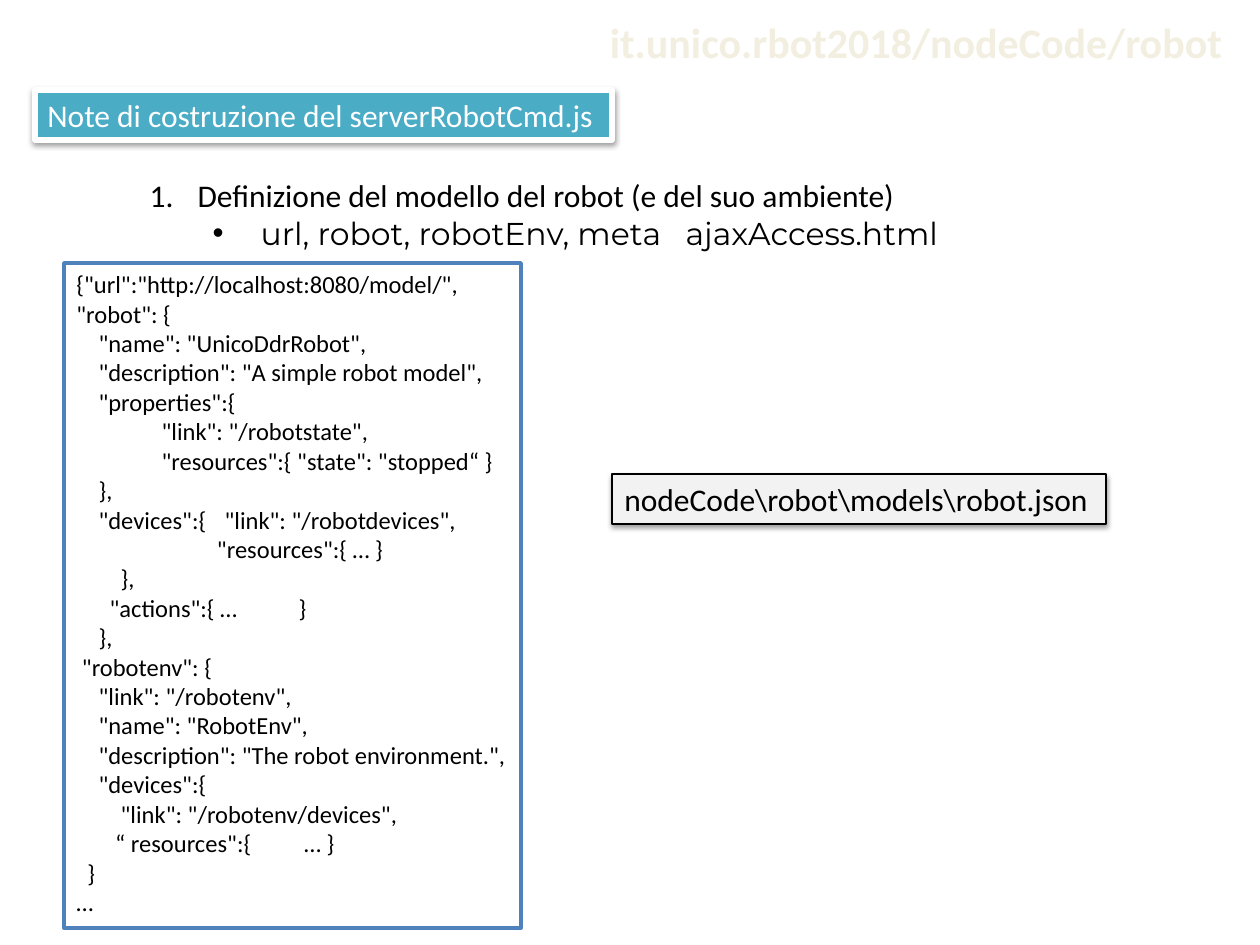
from dataclasses import dataclass
from typing import Optional

import pptx
import pptx.dml.color
import pptx.enum.shapes
import pptx.enum.text
import pptx.oxml
import pptx.oxml.ns
import pptx.util

PX = 914400 / 126
SPACE_PX = 5.54
LEVEL_PX = 63
LEFT = pptx.enum.text.PP_ALIGN.LEFT
RIGHT = pptx.enum.text.PP_ALIGN.RIGHT
TOP = pptx.enum.text.MSO_ANCHOR.TOP
MIDDLE = pptx.enum.text.MSO_ANCHOR.MIDDLE


@dataclass(frozen=True)
class Theme:
    white: str = "FFFFFF"
    black: str = "000000"
    cream: str = "F2EFE1"
    teal: str = "4BACC6"
    blue: str = "4F81BD"
    grey: str = "F2F2F2"
    font: str = "Calibri"
    accent_font: str = "Montserrat"
    title_size: int = 24
    text_size: int = 18
    code_size: int = 14


THEME = Theme()


@dataclass(frozen=True)
class Area:
    left: int
    top: int
    width: int
    height: int


@dataclass(frozen=True)
class Style:
    size: int
    color: str = THEME.black
    font: str = THEME.font
    bold: bool = False


@dataclass(frozen=True)
class Line:
    text: str
    margin: float = 0
    hanging: float = 0
    level: int = 0
    bullet: str = ""
    tab: Optional[int] = None
    style: Optional[Style] = None


@dataclass(frozen=True)
class Box:
    area: Area
    fill: str
    outline: str
    outline_width: float
    style: Style
    lines: list[Line]
    wrap: bool = False
    shadow: bool = False


def px(value: float) -> int:
    return round(value * PX)


def code(spaces: int, text: str, level: int = 0, tab: Optional[int] = None) -> Line:
    return Line(text, level * LEVEL_PX + spaces * SPACE_PX, level=level, tab=tab)


def xml(tag: str, attributes: str, content: str = ""):
    namespace = pptx.oxml.ns.nsdecls("a")
    return pptx.oxml.parse_xml(f"<a:{tag} {namespace} {attributes}>{content}</a:{tag}>")


def place(shape, area: Area) -> None:
    shape.left, shape.top = px(area.left), px(area.top)
    shape.width, shape.height = px(area.width), px(area.height)


def write(shape, lines: list[Line], style: Style, align=LEFT, anchor=TOP, wrap: bool = True) -> None:
    frame = shape.text_frame
    frame.word_wrap = wrap
    frame.auto_size = pptx.enum.text.MSO_AUTO_SIZE.SHAPE_TO_FIT_TEXT
    frame.vertical_anchor = anchor
    for index, line in enumerate(lines):
        paragraph = frame.add_paragraph() if index else frame.paragraphs[0]
        paragraph.alignment = align
        paragraph.level = line.level
        paragraph.space_before = pptx.util.Pt(0)
        properties = paragraph._p.get_or_add_pPr()
        properties.set("marL", str(px(line.margin)))
        properties.set("indent", str(-px(line.hanging)))
        if line.bullet == "1.":
            properties.append(xml("buAutoNum", 'type="arabicPeriod"'))
        elif line.bullet:
            properties.append(xml("buFont", 'typeface="Arial"'))
            properties.append(xml("buChar", f'char="{line.bullet}"'))
        else:
            properties.append(xml("buNone", ""))
        if line.tab:
            properties.append(xml("tabLst", "", f'<a:tab pos="{px(line.tab)}" algn="l"/>'))
        run = paragraph.add_run()
        run.text = line.text
        look = line.style or style
        run.font.name = look.font
        run.font.size = pptx.util.Pt(look.size)
        run.font.bold = look.bold
        run.font.color.rgb = pptx.dml.color.RGBColor.from_string(look.color)


def draw_box(slide, box: Box) -> None:
    shape = slide.shapes.add_shape(pptx.enum.shapes.MSO_SHAPE.RECTANGLE, 0, 0, 0, 0)
    place(shape, box.area)
    shape.fill.solid()
    shape.fill.fore_color.rgb = pptx.dml.color.RGBColor.from_string(box.fill)
    shape.line.color.rgb = pptx.dml.color.RGBColor.from_string(box.outline)
    shape.line.width = pptx.util.Pt(box.outline_width)
    shape.shadow.inherit = False
    if box.shadow:
        effects = shape._element.spPr.find(pptx.oxml.ns.qn("a:effectLst"))
        color = f'<a:srgbClr val="{THEME.black}"><a:alpha val="38000"/></a:srgbClr>'
        settings = 'blurRad="40000" dist="20000" dir="5400000" rotWithShape="0"'
        effects.append(xml("outerShdw", settings, color))
    write(shape, box.lines, box.style, wrap=box.wrap)


TEXT = Style(THEME.text_size)
TOPICS = [
    Line("Definizione del modello del robot (e del suo ambiente)", 48, 48, bullet="1."),
    Line("url, robot, robotEnv, meta\tajaxAccess.html", 111, 48, 1, "•", 536,
         Style(THEME.text_size, font=THEME.accent_font)),
]
MODEL = [
    code(0, '{"url":"http://localhost:8080/model/",'),
    code(0, '"robot": {'),
    code(4, '"name": "UnicoDdrRobot",'),
    code(4, '"description": "A simple robot model",'),
    code(4, '"properties":{'),
    code(4, '"link": "/robotstate",', 1),
    code(4, '"resources":{ "state": "stopped“ }', 1),
    code(4, '},'),
    code(4, '"devices":{\t"link": "/robotdevices",', tab=141),
    code(14, '"resources":{ … }', 1),
    code(8, '},'),
    code(6, '"actions":{ …\t}', tab=200),
    code(4, '},'),
    code(1, '"robotenv": {'),
    code(4, '"link": "/robotenv",'),
    code(4, '"name": "RobotEnv",'),
    code(4, '"description": "The robot environment.",'),
    code(4, '"devices":{'),
    code(8, '"link": "/robotenv/devices",'),
    code(7, '“ resources":{\t… }', tab=208),
    code(2, '}'),
    code(0, '…'),
]
BOXES = [
    Box(Area(35, 90, 577, 50), THEME.teal, THEME.white, 3, Style(THEME.text_size, THEME.white),
        [Line("Note di costruzione del serverRobotCmd.js")], shadow=True),
    Box(Area(64, 263, 457, 665), THEME.white, THEME.blue, 2, Style(THEME.code_size), MODEL, wrap=True),
    Box(Area(612, 474, 494, 50), THEME.grey, THEME.black, 0.75, TEXT,
        [Line("nodeCode\\robot\\models\\robot.json")], shadow=True),
]


def main() -> None:
    presentation = pptx.Presentation()
    presentation.slide_width, presentation.slide_height = px(1260), px(945)
    slide = presentation.slides.add_slide(presentation.slide_layouts[1])
    title, body = slide.placeholders
    place(title, Area(560, 13, 675, 58))
    write(title, [Line("it.unico.rbot2018/nodeCode/robot")],
          Style(THEME.title_size, THEME.cream, bold=True), RIGHT, MIDDLE)
    place(body, Area(137, 170, 902, 89))
    write(body, TOPICS, TEXT)
    for box in BOXES:
        draw_box(slide, box)
    presentation.save("out.pptx")


if __name__ == "__main__":
    main()
